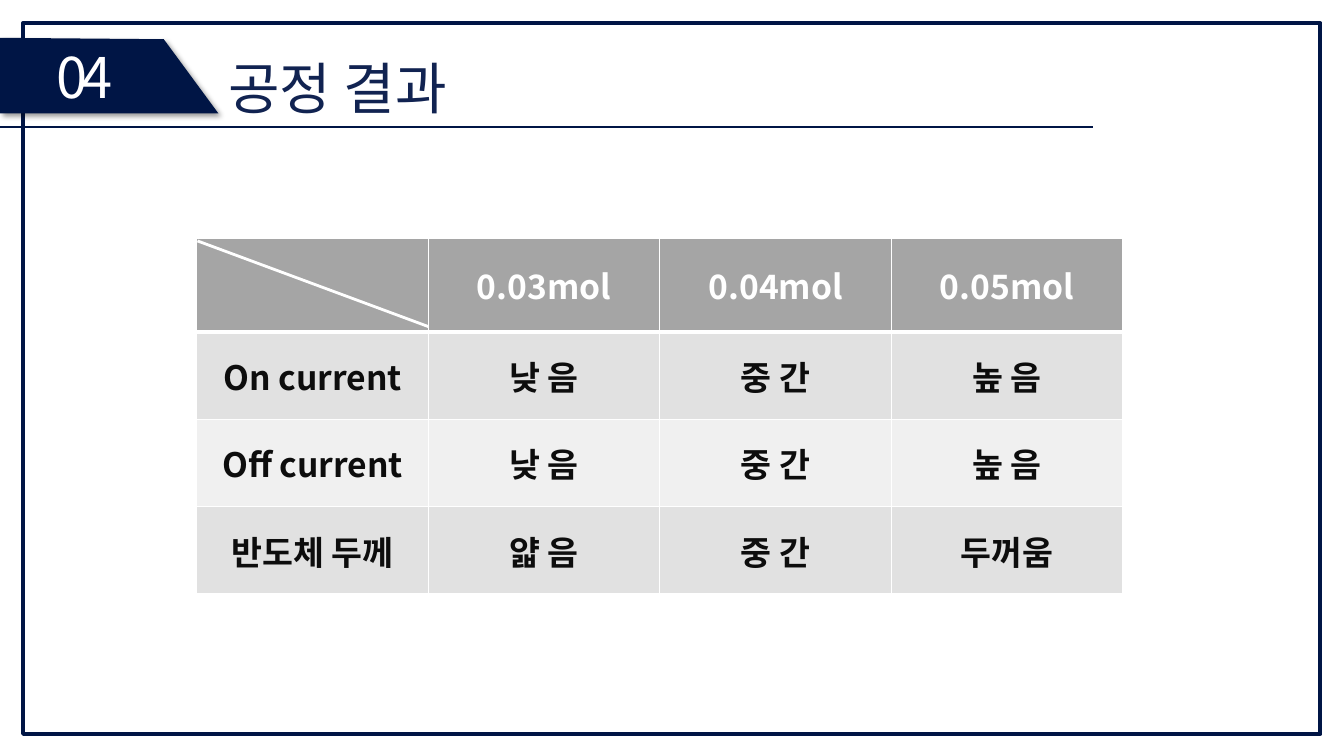
from lxml import etree
from pptx import Presentation
from pptx.dml.color import RGBColor
from pptx.enum.shapes import MSO_CONNECTOR, MSO_SHAPE
from pptx.enum.text import MSO_ANCHOR, MSO_AUTO_SIZE, PP_ALIGN
from pptx.oxml.ns import qn
from pptx.util import Pt

STRAIGHT = MSO_CONNECTOR.STRAIGHT
RECTANGLE = MSO_SHAPE.RECTANGLE
MIDDLE = MSO_ANCHOR.MIDDLE
GROW = MSO_AUTO_SIZE.SHAPE_TO_FIT_TEXT
CENTER = PP_ALIGN.CENTER

FONT = "Noto Sans CJK KR"
COLORS = {
    "navy": "001545",
    "title": "112351",
    "white": "FFFFFF",
    "ink": "0D0D0D",
    "header": "A5A5A5",
    "band_dark": "E1E1E1",
    "band_light": "F0F0F0",
    "shadow": "000000",
}
RESULTS = [
    ["", "0.03mol", "0.04mol", "0.05mol"],
    ["On current", "낮 음", "중 간", "높 음"],
    ["Off current", "낮 음", "중 간", "높 음"],
    ["반도체 두께", "얇 음", "중 간", "두꺼움"],
]
COLUMN_WIDTH = 165.4
HEADER_HEIGHT = 67
ROW_HEIGHT = 62.4


def color(name):
    return RGBColor.from_string(COLORS[name])


def add_solid_fill(parent, name):
    fill = etree.SubElement(parent, qn("a:solidFill"))
    return etree.SubElement(fill, qn("a:srgbClr"), val=COLORS[name])


def style_span(span, size, name, bold=False):
    span.font.size = Pt(size)
    span.font.bold = bold
    span.font.color.rgb = color(name)
    span.font.name = FONT
    east_asian = etree.Element(qn("a:ea"), typeface=FONT)
    span.font._element.find(qn("a:latin")).addnext(east_asian)


def add_frame(page, left, top, width, height):
    frame = page.shapes.add_shape(RECTANGLE, Pt(left), Pt(top), Pt(width), Pt(height))
    frame.shadow.inherit = False
    frame.fill.background()
    frame.line.color.rgb = color("navy")
    frame.line.width = Pt(3)


def add_banner(page, points):
    builder = page.shapes.build_freeform(*points[0], scale=Pt(1))
    builder.add_line_segments(points[1:], close=True)
    banner = builder.convert_to_shape()
    banner.fill.solid()
    banner.fill.fore_color.rgb = color("navy")
    banner.line.fill.background()
    banner.shadow.inherit = False
    effects = banner._element.spPr.find(qn("a:effectLst"))
    shadow = etree.SubElement(
        effects, qn("a:outerShdw"), blurRad=str(Pt(4)), dist=str(Pt(3)),
        dir="2700000", algn="tl", rotWithShape="0")
    shade = etree.SubElement(shadow, qn("a:srgbClr"), val=COLORS["shadow"])
    etree.SubElement(shade, qn("a:alpha"), val="40000")


def add_line(page, start, end, name):
    line = page.shapes.add_connector(STRAIGHT, *map(Pt, start + end))
    line.line.color.rgb = color(name)
    line.line.width = Pt(2)
    etree.SubElement(line._element.spPr, qn("a:effectLst"))


def add_heading(page, text, left, top, width, name, spacing=0):
    box = page.shapes.add_textbox(Pt(left), Pt(top), Pt(width), Pt(55.4))
    box.text_frame.word_wrap = True
    box.text_frame.auto_size = GROW
    box.text_frame.text = text
    span = box.text_frame.paragraphs[0].runs[0]
    style_span(span, 40, name)
    if spacing:
        span.font._element.set("spc", str(spacing * 100))


def set_borders(cell, top, bottom):
    properties = cell._tc.get_or_add_tcPr()
    for tag, width in (("lnL", 1), ("lnR", 1), ("lnT", top), ("lnB", bottom)):
        border = etree.SubElement(properties, qn("a:" + tag), w=str(Pt(width)))
        add_solid_fill(border, "white")


def fill_cell(cell, text, row):
    set_borders(cell, 3 if row == 1 else 1, 3 if row == 0 else 1)
    band = "header" if row == 0 else "band_dark" if row % 2 else "band_light"
    cell.fill.solid()
    cell.fill.fore_color.rgb = color(band)
    cell.vertical_anchor = MIDDLE
    if text:
        cell.text_frame.text = text
        para = cell.text_frame.paragraphs[0]
        para.alignment = CENTER
        style_span(para.runs[0], 24, "ink" if row else "white", bold=True)


def add_results(page, left, top):
    rows, columns = len(RESULTS), len(RESULTS[0])
    height = HEADER_HEIGHT + (rows - 1) * ROW_HEIGHT
    table = page.shapes.add_table(
        rows, columns, Pt(left), Pt(top), Pt(columns * COLUMN_WIDTH), Pt(height)).table
    for column in table.columns:
        column.width = Pt(COLUMN_WIDTH)
    for row, texts in enumerate(RESULTS):
        table.rows[row].height = Pt(ROW_HEIGHT if row else HEADER_HEIGHT)
        for column, text in enumerate(texts):
            fill_cell(table.cell(row, column), text, row)


def main():
    deck = Presentation()
    deck.slide_width, deck.slide_height = Pt(960), Pt(540)
    page = deck.slides.add_slide(deck.slide_layouts[6])

    # Frame and section banner
    add_frame(page, 16.6, 16.6, 926.6, 507.6)
    add_banner(page, [(0, 26.6), (117.4, 28.1), (155.5, 81.4), (0, 81.4)])
    add_line(page, (780.5, 90.7), (-1.4, 90.7), "navy")
    add_heading(page, "04", 33.1, 26.6, 89.3, "white", spacing=-4)

    # Results table with a diagonal through its corner cell
    add_results(page, 140.6, 170.2)
    add_line(page, (141.1, 172.1), (306, 233.3), "white")

    # Title
    add_heading(page, "공정 결과", 156.2, 34.6, 384.5, "title")

    deck.save("out.pptx")


if __name__ == "__main__":
    main()
